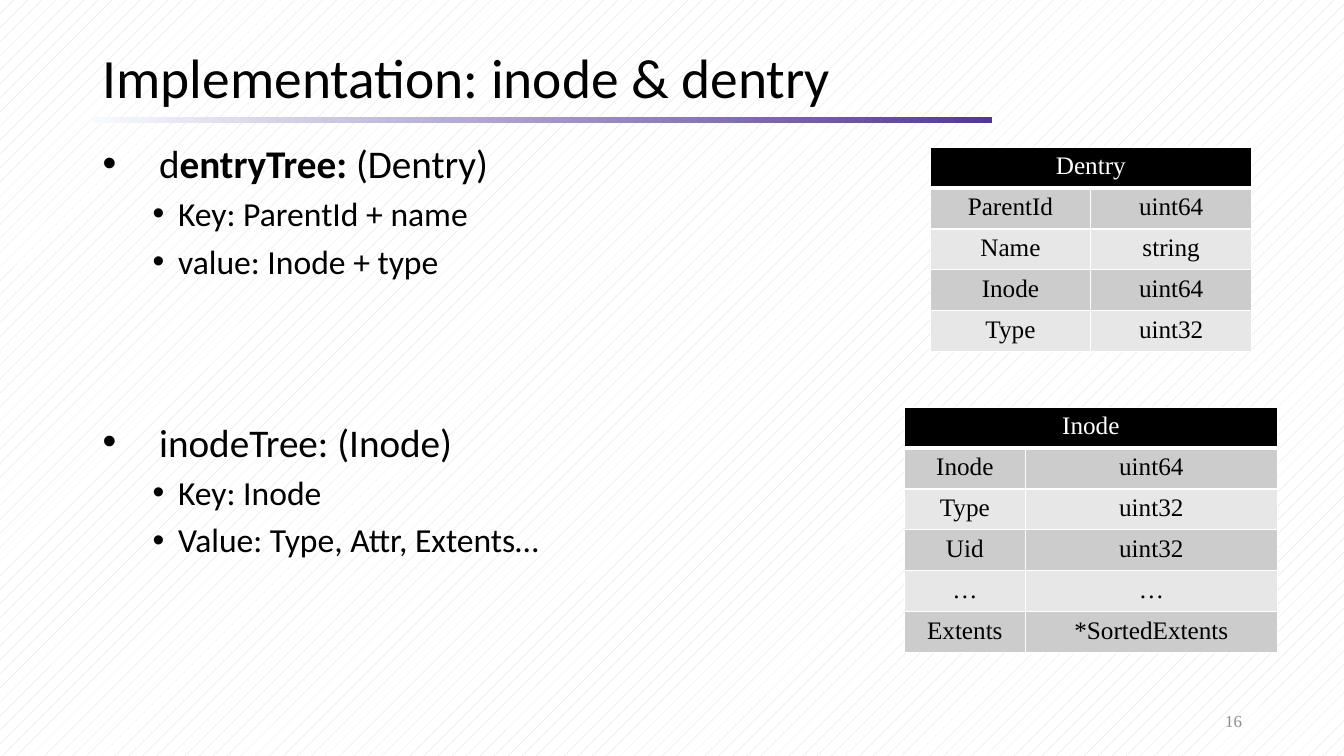
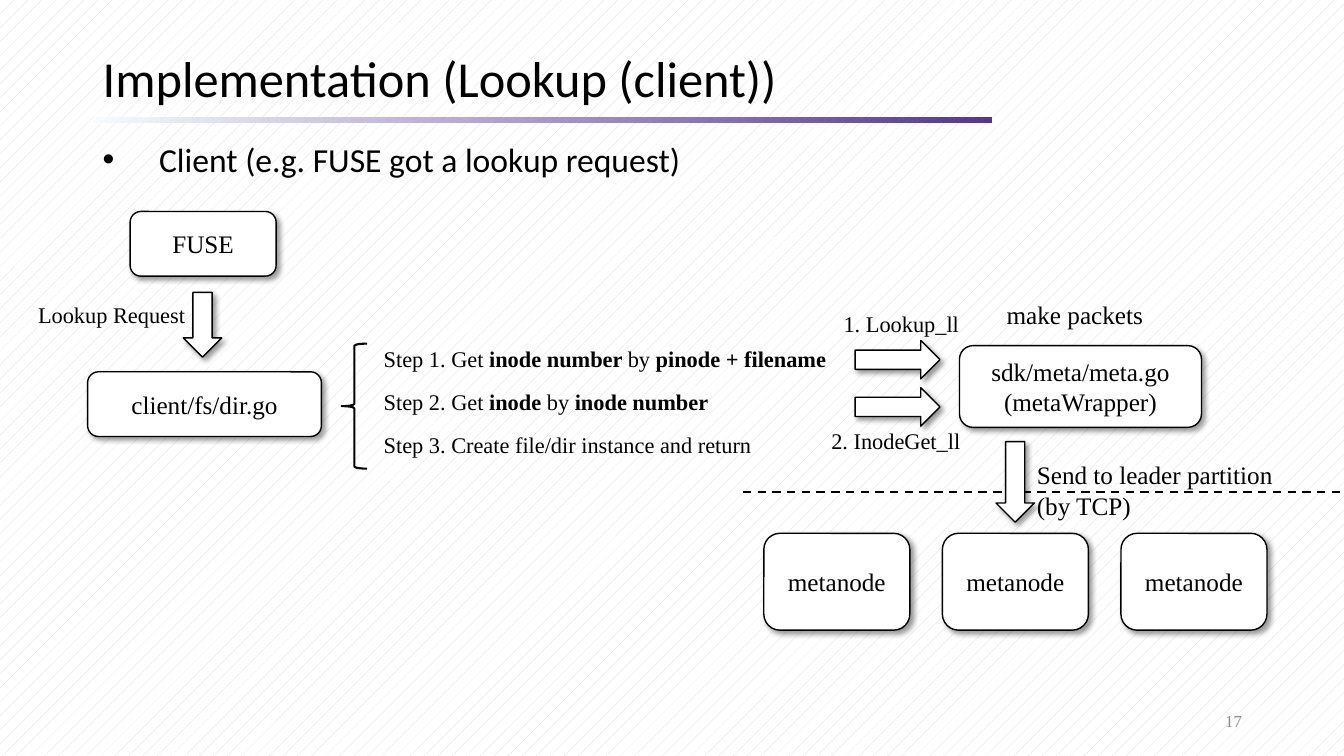
from dataclasses import dataclass

from lxml import etree
from pptx import Presentation
from pptx.dml.color import RGBColor
from pptx.enum.dml import MSO_LINE, MSO_PATTERN
from pptx.enum.shapes import MSO_CONNECTOR, MSO_SHAPE
from pptx.enum.text import MSO_ANCHOR, MSO_AUTO_SIZE, PP_ALIGN
from pptx.oxml.ns import qn
from pptx.util import Cm, Pt

RECTANGLE = MSO_SHAPE.RECTANGLE
ROUNDED = MSO_SHAPE.ROUNDED_RECTANGLE
DOWN_ARROW = MSO_SHAPE.DOWN_ARROW
RIGHT_ARROW = MSO_SHAPE.RIGHT_ARROW
LEFT_BRACE = MSO_SHAPE.LEFT_BRACE
STRAIGHT = MSO_CONNECTOR.STRAIGHT
DASH = MSO_LINE.DASH
DOTS = MSO_PATTERN.PERCENT_5
MIDDLE = MSO_ANCHOR.MIDDLE
LEFT, CENTER, RIGHT = PP_ALIGN.LEFT, PP_ALIGN.CENTER, PP_ALIGN.RIGHT
FIT_SHAPE = MSO_AUTO_SIZE.SHAPE_TO_FIT_TEXT

SLIDE_WIDTH, SLIDE_HEIGHT = 33.87, 19.05
CONTENT_LEFT, CONTENT_WIDTH = 2.34, 29.21


@dataclass(frozen=True)
class Theme:
    black: str = "000000"
    white: str = "FFFFFF"
    dots: str = "D9D9D9"
    band_start: str = "F7FAFD"
    band_end: str = "543795"
    page_number: str = "8C8C8C"
    row_dark: str = "CCCCCC"
    row_light: str = "E7E7E7"
    heading_font: str = "Calibri"
    diagram_font: str = "Times New Roman"
    title_size: float = 39.6
    small_title_size: float = 36
    topic_size: float = 28
    detail_size: float = 24
    diagram_size: float = 18
    label_size: float = 16
    page_size: float = 12


THEME = Theme()


def rgb(value):
    return RGBColor.from_string(value)


def box(left, top, width, height):
    return Cm(left), Cm(top), Cm(width), Cm(height)


def add_runs(paragraph, runs, size, font=THEME.diagram_font, color=THEME.black):
    """Add a string, or a list of (text, bold) pairs, to a paragraph."""
    if isinstance(runs, str):
        runs = [(runs, False)]
    for text, bold in runs:
        run = paragraph.add_run()
        run.text = text
        run.font.name = font
        run.font.size = Pt(size)
        run.font.bold = bold
        run.font.color.rgb = rgb(color)


def add_text(slide, place, runs, size, align=LEFT, wrap=True, anchor=None, **style):
    frame = slide.shapes.add_textbox(*box(*place)).text_frame
    frame.word_wrap = wrap
    if anchor is not None:
        frame.vertical_anchor = anchor
    paragraph = frame.paragraphs[0]
    paragraph.alignment = align
    add_runs(paragraph, runs, size, **style)
    return frame


def add_label(slide, place, runs, size=THEME.label_size, wrap=False):
    frame = add_text(slide, place, runs, size, wrap=wrap)
    frame.auto_size = FIT_SHAPE


def add_bullets(slide, items):
    """Fill the body with (level, runs, size, space before) items."""
    place = box(CONTENT_LEFT, 3.38, CONTENT_WIDTH, 13.79)
    frame = slide.shapes.add_textbox(*place).text_frame
    frame.word_wrap = True
    indents = [(1.42, 1.42), (1.9, 0.64)]
    for index, (level, runs, size, space) in enumerate(items):
        paragraph = frame.add_paragraph() if index else frame.paragraphs[0]
        paragraph.level = level
        paragraph.space_before = Pt(space)
        margin, hanging = indents[level]
        properties = paragraph._p.get_or_add_pPr()
        properties.set("marL", str(Cm(margin)))
        properties.set("indent", str(-Cm(hanging)))
        etree.SubElement(properties, qn("a:buFont"), typeface="Arial")
        etree.SubElement(properties, qn("a:buChar"), char="•")
        add_runs(paragraph, runs, size, font=THEME.heading_font)


def add_shadow(shape):
    effects = shape.element.spPr.find(qn("a:effectLst"))
    shadow = etree.SubElement(
        effects, qn("a:outerShdw"), blurRad=str(Pt(4)), dist=str(Pt(3)),
        dir=str(45 * 60000), algn="tl", rotWithShape="0")
    color = etree.SubElement(shadow, qn("a:srgbClr"), val=THEME.black)
    etree.SubElement(color, qn("a:alpha"), val="40000")


def add_block(slide, kind, place, text=None):
    """Add a white outlined shape with a soft shadow."""
    block = slide.shapes.add_shape(kind, *box(*place))
    block.fill.solid()
    block.fill.fore_color.rgb = rgb(THEME.white)
    block.line.color.rgb = rgb(THEME.black)
    block.line.width = Pt(1)
    block.shadow.inherit = False
    add_shadow(block)
    if text:
        frame = block.text_frame
        frame.word_wrap = True
        frame.vertical_anchor = MIDDLE
        frame.paragraphs[0].alignment = CENTER
        add_runs(frame.paragraphs[0], text, THEME.diagram_size)


def add_brace(slide, place):
    brace = slide.shapes.add_shape(LEFT_BRACE, *box(*place))
    brace.fill.background()
    brace.line.color.rgb = rgb(THEME.black)
    brace.line.width = Pt(1.5)
    brace.shadow.inherit = False


def add_dashed_line(slide, left, right, y):
    boundary = slide.shapes.add_connector(
        STRAIGHT, Cm(left), Cm(y), Cm(right), Cm(y))
    boundary.line.color.rgb = rgb(THEME.black)
    boundary.line.width = Pt(1.5)
    boundary.line.dash_style = DASH
    etree.SubElement(boundary.element.spPr, qn("a:effectLst"))


def style_cell(cell, fill, bottom_width):
    """Set borders first, as they must precede the fill in the cell's XML."""
    properties = cell._tc.get_or_add_tcPr()
    for side, width in (("L", 1), ("R", 1), ("T", 1), ("B", bottom_width)):
        border = etree.SubElement(properties, qn(f"a:ln{side}"), w=str(Pt(width)))
        solid = etree.SubElement(border, qn("a:solidFill"))
        etree.SubElement(solid, qn("a:srgbClr"), val=THEME.white)
    cell.fill.solid()
    cell.fill.fore_color.rgb = rgb(fill)


def add_struct_table(slide, left, top, widths, name, fields):
    """Show a struct: a merged name row over its (field, type) rows."""
    row_height = 1.03
    rows = [(name, "")] + fields
    place = box(left, top, sum(widths), row_height * len(rows))
    table = slide.shapes.add_table(len(rows), len(widths), *place).table
    for column, width in zip(table.columns, widths):
        column.width = Cm(width)
    for row_index, row in enumerate(rows):
        table.rows[row_index].height = Cm(row_height)
        header = row_index == 0
        band = THEME.row_dark if row_index % 2 else THEME.row_light
        for column_index, text in enumerate(row):
            cell = table.cell(row_index, column_index)
            style_cell(cell, THEME.black if header else band, 3 if header else 1)
            if text:
                paragraph = cell.text_frame.paragraphs[0]
                paragraph.alignment = CENTER
                add_runs(paragraph, text, THEME.diagram_size,
                         color=THEME.white if header else THEME.black)
    table.cell(0, 0).merge(table.cell(0, len(widths) - 1))


def set_background(master):
    fill = master.background.fill
    fill.patterned()
    fill.pattern = DOTS
    fill.fore_color.rgb = rgb(THEME.dots)
    fill.back_color.rgb = rgb(THEME.white)


def add_slide(prs, title, title_size, number):
    """Add a slide with its title, gradient band and page number."""
    slide = prs.slides.add_slide(prs.slide_layouts[6])
    band = slide.shapes.add_shape(RECTANGLE, *box(CONTENT_LEFT, 2.95, 22.66, 0.14))
    band.shadow.inherit = False
    band.line.fill.background()
    band.fill.gradient()
    band.fill.gradient_angle = 0
    for stop, color in zip(band.fill.gradient_stops, (THEME.band_start, THEME.band_end)):
        stop.color.rgb = rgb(color)
    add_text(slide, (23.93, 17.65, 7.62, 1.02), str(number), THEME.page_size,
             align=RIGHT, anchor=MIDDLE, color=THEME.page_number)
    heading = add_text(slide, (CONTENT_LEFT, 1.09, CONTENT_WIDTH, 1.9), title,
                       title_size, anchor=MIDDLE, font=THEME.heading_font)
    heading.paragraphs[0].line_spacing = 0.9
    return slide


def build_trees_slide(prs):
    slide = add_slide(prs, "Implementation: inode & dentry", THEME.title_size, 16)
    topic, detail = THEME.topic_size, THEME.detail_size
    add_bullets(slide, [
        (0, [("d", False), ("entryTree:", True), (" (Dentry)", False)], topic, 10),
        (1, "Key: ParentId + name", detail, 5),
        (1, "value: Inode + type", detail, 5),
        (0, "inodeTree: (Inode)", topic, 98),
        (1, "Key: Inode", detail, 5),
        (1, "Value: Type, Attr, Extents…", detail, 5),
    ])
    add_struct_table(slide, 23.44, 3.71, (4.05, 4.05), "Dentry", [
        ("ParentId", "uint64"), ("Name", "string"),
        ("Inode", "uint64"), ("Type", "uint32"),
    ])
    add_struct_table(slide, 22.79, 10.26, (3.05, 6.35), "Inode", [
        ("Inode", "uint64"), ("Type", "uint32"), ("Uid", "uint32"),
        ("…", "…"), ("Extents", "*SortedExtents"),
    ])


def build_lookup_slide(prs):
    slide = add_slide(prs, "Implementation (Lookup (client))",
                      THEME.small_title_size, 17)
    add_bullets(slide, [
        (0, "Client (e.g. FUSE got a lookup request)", THEME.detail_size, 10),
    ])

    add_block(slide, ROUNDED, (2.21, 9.37, 5.89, 1.63), "client/fs/dir.go")
    add_block(slide, ROUNDED, (3.28, 5.33, 3.68, 1.63), "FUSE")
    add_block(slide, DOWN_ARROW, (4.62, 7.37, 0.97, 1.63))
    add_label(slide, (0.71, 7.47, 4.27, 0.94), "Lookup Request")

    add_brace(slide, (8.61, 8.66, 0.64, 3.15))
    steps = [
        (11.81, [("Step 1. Get ", False), ("inode number ", True),
                 ("by ", False), ("pinode + filename", True)]),
        (8.79, [("Step 2. Get ", False), ("inode", True),
                (" by ", False), ("inode number", True)]),
        (9.93, "Step 3. Create file/dir instance and return"),
    ]
    for index, (width, runs) in enumerate(steps):
        add_label(slide, (9.42, 8.56 + 1.09 * index, width, 0.94), runs)

    for index in range(2):
        add_block(slide, RIGHT_ARROW, (21.55, 8.58 + 1.19 * index, 2.14, 0.97))
    add_label(slide, (21.01, 7.7, 3.45, 0.94), "1. Lookup_ll")
    add_label(slide, (20.7, 10.64, 3.81, 0.94), "2. InodeGet_ll")
    add_block(slide, ROUNDED, (24.18, 8.71, 6.1, 2.06),
              "sdk/meta/meta.go (metaWrapper)")
    add_label(slide, (25.12, 7.42, 3.99, 1.02), "make packets", THEME.diagram_size)

    for index in range(3):
        add_block(slide, ROUNDED, (19.25 + 4.5 * index, 13.44, 3.68, 2.44), "metanode")
    add_dashed_line(slide, 18.72, SLIDE_WIDTH, 12.4)
    add_block(slide, DOWN_ARROW, (25.1, 11.13, 0.97, 2.03))
    add_label(slide, (25.88, 11.46, 6.55, 1.8),
              "Send to leader partition (by TCP)", THEME.diagram_size, wrap=True)


def main():
    prs = Presentation()
    prs.slide_width, prs.slide_height = Cm(SLIDE_WIDTH), Cm(SLIDE_HEIGHT)
    set_background(prs.slide_master)
    build_trees_slide(prs)
    build_lookup_slide(prs)
    prs.save("out.pptx")


if __name__ == "__main__":
    main()
